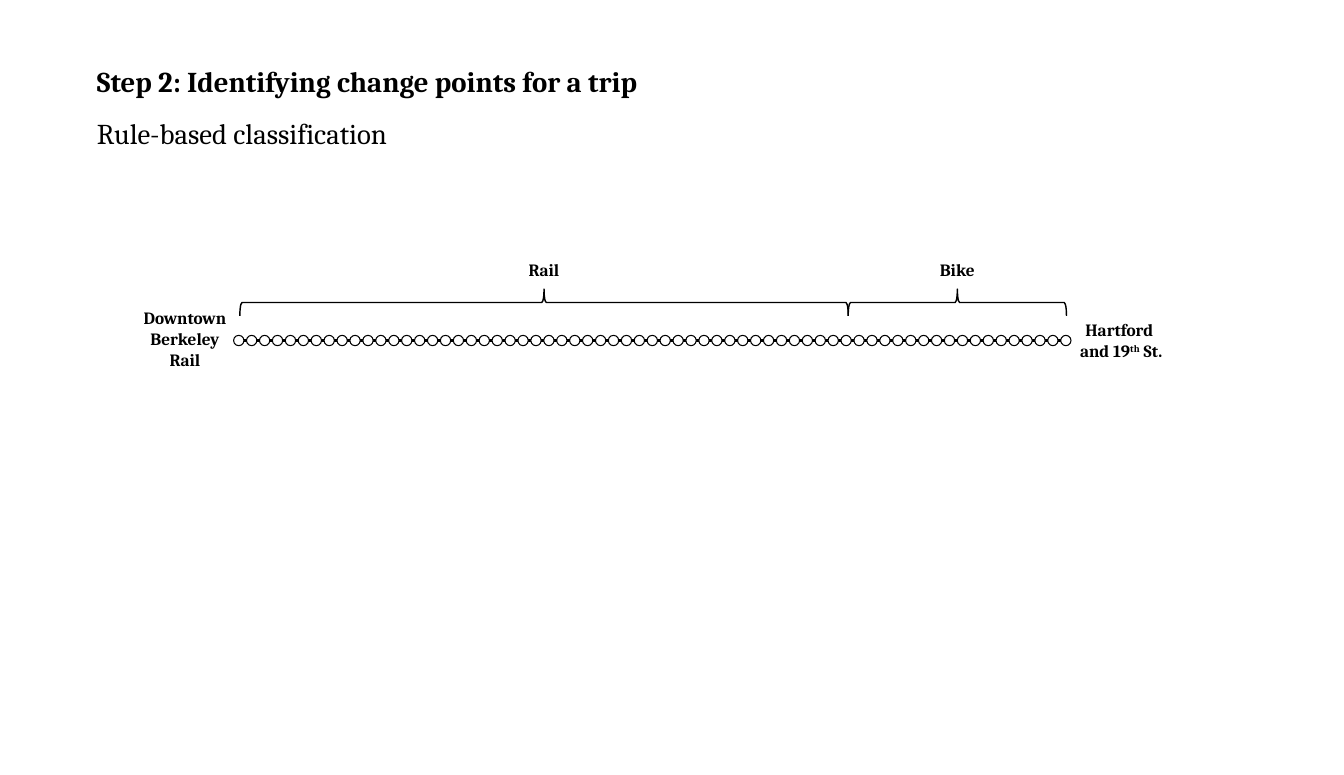
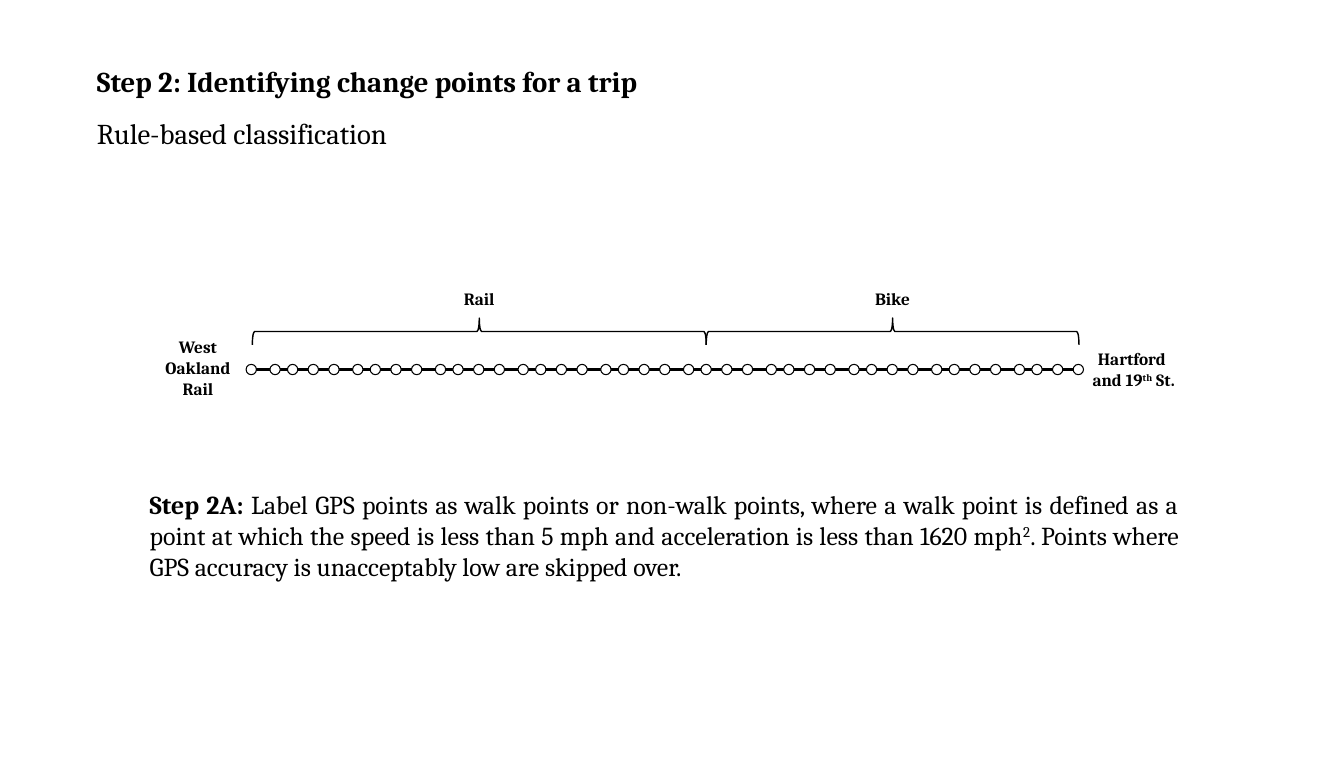
import dataclasses

import lxml.etree
import pptx
import pptx.dml.color
import pptx.enum.dml
import pptx.enum.shapes
import pptx.enum.text
import pptx.oxml.ns
import pptx.util

Pt = pptx.util.Pt
ALIGN = pptx.enum.text.PP_ALIGN
SHAPE = pptx.enum.shapes.MSO_SHAPE


@dataclasses.dataclass(frozen=True)
class Theme:
    font: str = "Cambria"
    ink: pptx.dml.color.RGBColor = pptx.dml.color.RGBColor(0, 0, 0)
    paper: pptx.dml.color.RGBColor = pptx.dml.color.RGBColor(255, 255, 255)
    title_size: float = 20
    body_size: float = 18
    label_size: float = 12
    track_width: float = 2
    brace_width: float = 1
    dot_width: float = 0.75


@dataclasses.dataclass(frozen=True)
class Trip:
    start_label: str
    start_label_left: float
    start_label_width: float
    change_point: float
    dot_offsets: tuple
    dot_period: float


THEME = Theme()
TRACK_LENGTH = 576
DOT = 7.2
BRACE_START, BRACE_END = 4.3, 580
BRACE_DEPTH = 18.7
TITLE_BOX = (60.5, 41, 800, 67.7)
RULE_BOX = (97.2, 337, 730.8, 72.7)


def add_text(page, box, paragraphs, size, align=ALIGN.LEFT, space_after=0):
    shape = page.shapes.add_textbox(*map(Pt, box))
    frame = shape.text_frame
    frame.word_wrap = True
    frame.auto_size = pptx.enum.text.MSO_AUTO_SIZE.SHAPE_TO_FIT_TEXT
    for index, spans in enumerate(paragraphs):
        para = frame.add_paragraph() if index else frame.paragraphs[0]
        para.alignment = align
        para.space_after = Pt(space_after)
        for text, bold, raised in spans:
            span = para.add_run()
            span.text = text
            span.font.name = THEME.font
            span.font.size = Pt(size)
            span.font.bold = bold
            span.font.color.rgb = THEME.ink
            if raised:
                span._r.get_or_add_rPr().set("baseline", "30000")


def add_label(page, box, paragraphs):
    add_text(page, box, paragraphs, THEME.label_size, ALIGN.CENTER)


def add_outline(page, kind, box, width):
    shape = page.shapes.add_shape(kind, *map(Pt, box))
    shape.shadow.inherit = False
    shape.fill.background()
    shape.line.color.rgb = THEME.ink
    shape.line.width = Pt(width)
    return shape


def add_track(page, left, middle):
    track = page.shapes.add_connector(
        pptx.enum.shapes.MSO_CONNECTOR.STRAIGHT,
        Pt(left + BRACE_START), Pt(middle), Pt(left + TRACK_LENGTH), Pt(middle))
    track.line.color.rgb = THEME.ink
    track.line.width = Pt(THEME.track_width)
    lxml.etree.SubElement(
        track._element.spPr, pptx.oxml.ns.qn("a:effectLst"))


def add_dots(page, left, middle, offsets, period):
    periods = round(TRACK_LENGTH / period)
    positions = [step * period + offset
                 for step in range(periods) for offset in offsets]
    for position in positions + [TRACK_LENGTH]:
        dot = add_outline(page, SHAPE.OVAL,
                          (left + position, middle - DOT / 2, DOT, DOT),
                          THEME.dot_width)
        dot.fill.solid()
        dot.fill.fore_color.rgb = THEME.paper


def add_mode(page, start, end, middle, name):
    center = (start + end) / 2
    length = end - start
    brace = add_outline(
        page, SHAPE.LEFT_BRACE,
        (center - BRACE_DEPTH / 2, middle - 26.5 - length / 2,
         BRACE_DEPTH, length),
        THEME.brace_width)
    brace.rotation = 90
    add_label(page, (center - 31.3, middle - 60.5, 62.6, 21.8),
              [[(name, True, False)]])


def add_trip(page, left, middle, trip):
    add_track(page, left, middle)
    add_dots(page, left, middle, trip.dot_offsets, trip.dot_period)
    add_label(page, (left + trip.start_label_left, middle - 26.6,
                     trip.start_label_width, 51.1),
              [[(trip.start_label, True, False)]])
    add_label(page, (left + 580, middle - 18, 76.3, 36),
              [[("Hartford ", True, False)],
               [("and 19", True, False), ("th", True, True),
                (" St.", True, False)]])
    change = left + trip.change_point
    add_mode(page, left + BRACE_START, change, middle, "Rail")
    add_mode(page, change, left + BRACE_END, middle, "Bike")


def add_title(page, box):
    add_text(page, box,
             [[("Step 2: Identifying change points for a trip", True, False)],
              [("Rule-based classification", False, False)]],
             THEME.title_size, space_after=12)


def add_rule(page, box):
    add_text(page, box, [[
        ("Step 2A: ", True, False),
        ("Label GPS points as walk points or non-walk points, where a walk "
         "point is defined as a point at which the speed is less than 5 mph "
         "and acceleration is less than 1620 mph", False, False),
        ("2", False, True),
        (". Points where GPS accuracy is unacceptably low are skipped over.",
         False, False),
    ]], THEME.body_size, ALIGN.JUSTIFY)


def add_page(deck, left, middle, trip):
    page = deck.slides.add_slide(deck.slide_layouts[6])
    page.background.fill.solid()
    page.background.fill.fore_color.rgb = THEME.paper
    add_title(page, TITLE_BOX)
    add_trip(page, left, middle, trip)
    return page


def main():
    deck = pptx.Presentation()
    deck.slide_width, deck.slide_height = Pt(936), Pt(540)
    add_page(deck, 162.7, 237.3, Trip(
        "Downtown Berkeley Rail", -74.2, 80.6, 428, (0,), 9))
    page = add_page(deck, 171.4, 257.5, Trip(
        "West Oakland Rail", -64.8, 62.6, 320.4, (0, 16.6, 28.8, 43.2), 57.6))
    add_rule(page, RULE_BOX)
    deck.save("out.pptx")


if __name__ == "__main__":
    main()
